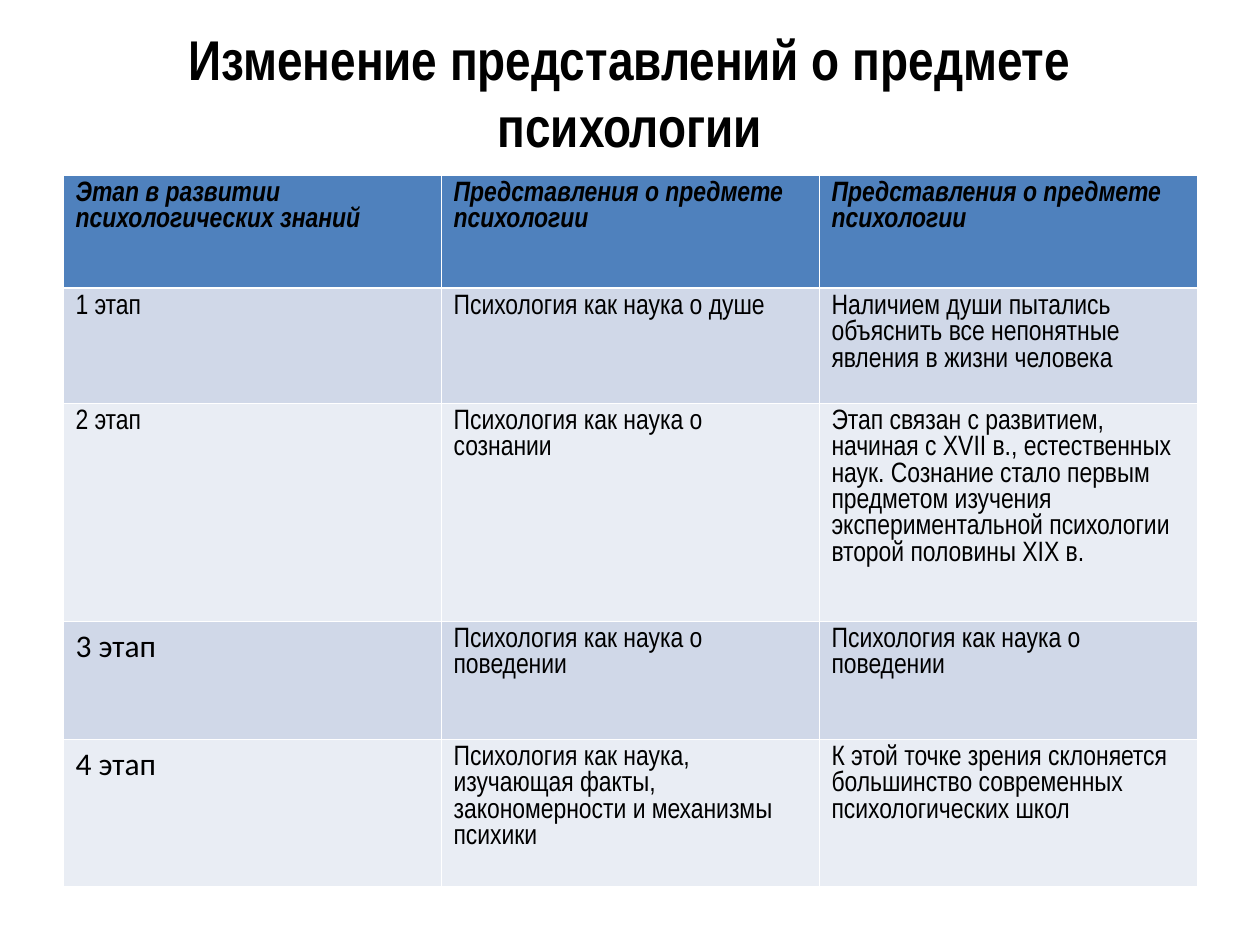
from lxml import etree
from pptx import Presentation
from pptx import util as u
from pptx.dml import color
from pptx.enum import text
from pptx.oxml import ns

PX_PER_INCH = 126
NARROW = "Arial Narrow"
HEADER_FILL = "4F81BD"
BAND_FILLS = ["D0D8E8", "E9EDF4"]
THIN, THICK = 0.45, 1.47

COLUMN_WIDTHS = [378, 378, 378]
ROW_HEIGHTS = [113, 115, 218, 118, 147]
ROWS = [
    ["Этап в развитии психологических знаний",
     "Представления о предмете психологии",
     "Представления о предмете психологии"],
    ["1 этап", "Психология как наука о душе",
     "Наличием души пытались объяснить все непонятные явления в жизни человека"],
    ["2 этап", "Психология как наука о сознании",
     "Этап связан с развитием, начиная с XVII в., естественных наук. "
     "Сознание стало первым предметом изучения экспериментальной психологии "
     "второй половины XIX в."],
    ["3 этап", "Психология как наука о поведении",
     "Психология как наука о поведении"],
    ["4 этап",
     "Психология как наука, изучающая факты, закономерности и механизмы психики",
     "К этой точке зрения склоняется большинство современных психологических школ"],
]


def px(length):
    return u.Emu(round(length * 914400 / PX_PER_INCH))


def rgb(value):
    return color.RGBColor.from_string(value)


def write(frame, content, size=16, font=NARROW, fill="000000", bold=False,
          italic=False, align=text.PP_ALIGN.LEFT):
    paragraph = frame.paragraphs[0]
    paragraph.alignment = align
    run = paragraph.add_run()
    run.text = content
    run.font.size = u.Pt(size)
    run.font.name = font
    run.font.bold = bold
    run.font.italic = italic
    run.font.color.rgb = rgb(fill)


def set_borders(cell, top, bottom):
    """Draw white cell borders; they must precede the cell fill in the XML."""
    properties = cell._tc.get_or_add_tcPr()
    widths = {"a:lnL": THIN, "a:lnR": THIN, "a:lnT": top, "a:lnB": bottom}
    for tag, width in widths.items():
        line = etree.SubElement(properties, ns.qn(tag), w=str(u.Pt(width)))
        solid = etree.SubElement(line, ns.qn("a:solidFill"))
        etree.SubElement(solid, ns.qn("a:srgbClr"), val="FFFFFF")


def add_title(slide, content):
    title = slide.shapes.title
    title.left, title.top, title.width, title.height = map(px, (63, 38, 1134, 107))
    frame = title.text_frame
    frame.word_wrap = True
    frame.auto_size = text.MSO_AUTO_SIZE.NONE
    frame.vertical_anchor = text.MSO_ANCHOR.MIDDLE
    write(frame, content, size=32, bold=True, align=text.PP_ALIGN.CENTER)


def fill_cell(cell, content, row, column):
    header = row == 0
    set_borders(cell, top=THICK if row == 1 else THIN,
                bottom=THICK if header else THIN)
    cell.fill.solid()
    cell.fill.fore_color.rgb = rgb(HEADER_FILL if header else BAND_FILLS[(row - 1) % 2])
    # The last two stage names are set larger, in the body font
    if column == 0 and row >= 3:
        write(cell.text_frame, content, size=18, font="Calibri")
    else:
        write(cell.text_frame, content, bold=header, italic=header)


def add_stage_table(slide):
    table = slide.shapes.add_table(
        len(ROWS), len(COLUMN_WIDTHS), px(63), px(175),
        px(sum(COLUMN_WIDTHS)), px(sum(ROW_HEIGHTS))).table
    for column, width in zip(table.columns, COLUMN_WIDTHS):
        column.width = px(width)
    for row, height in zip(table.rows, ROW_HEIGHTS):
        row.height = px(height)
    for row, contents in enumerate(ROWS):
        for column, content in enumerate(contents):
            fill_cell(table.cell(row, column), content, row, column)


def main():
    presentation = Presentation()
    presentation.slide_width, presentation.slide_height = px(1260), px(945)
    # "Title Only" layout
    slide = presentation.slides.add_slide(presentation.slide_layouts[5])
    add_title(slide, "Изменение представлений о предмете психологии")
    add_stage_table(slide)
    presentation.save("out.pptx")


if __name__ == "__main__":
    main()
